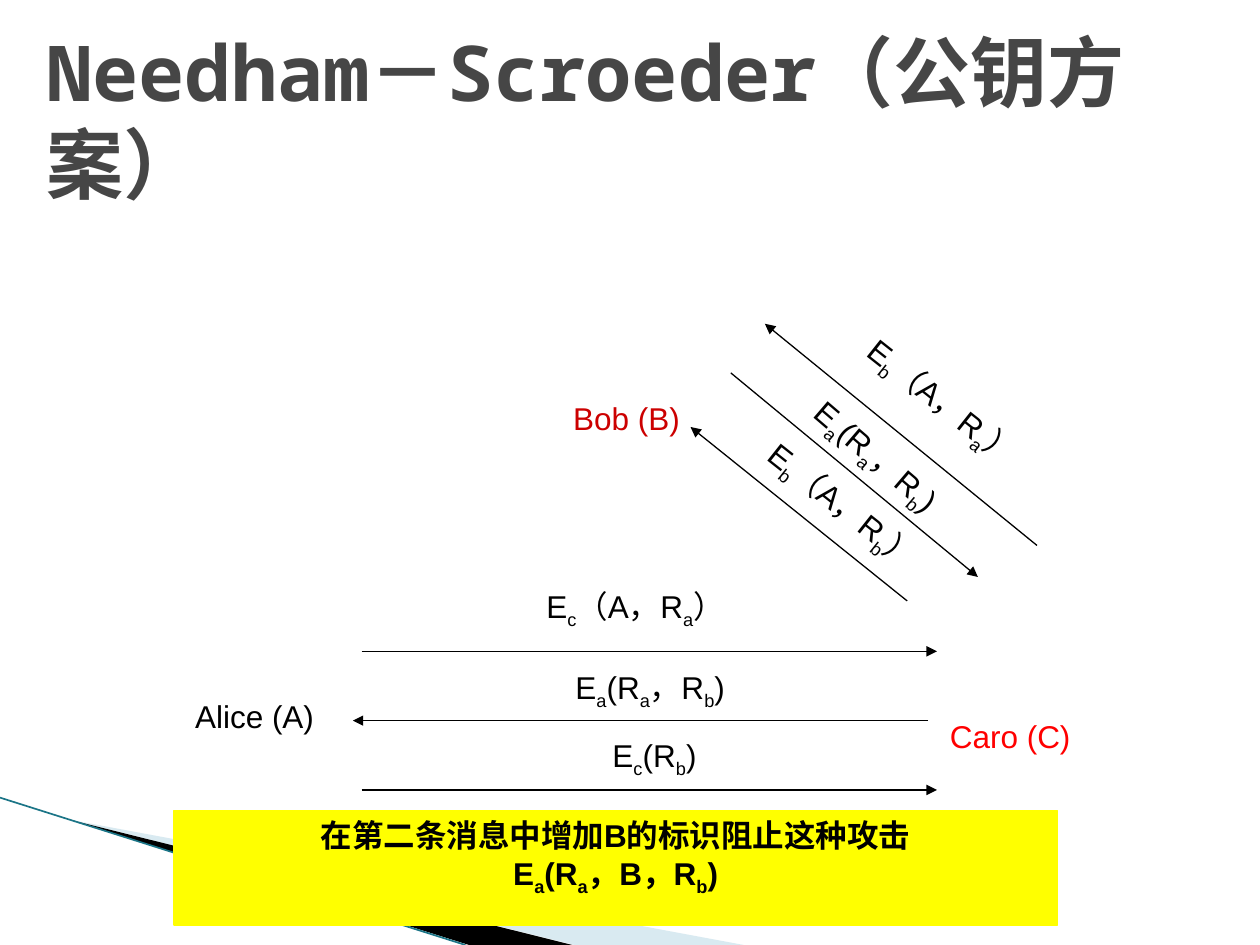
from lxml.etree import SubElement
from pptx import Presentation
from pptx.dml.color import RGBColor
from pptx.enum.shapes import MSO_CONNECTOR, MSO_SHAPE
from pptx.enum.text import MSO_ANCHOR, PP_ALIGN
from pptx.oxml.ns import qn
from pptx.util import Pt


def color(value):
    """Turn a hex string into a colour."""
    return RGBColor.from_string(value)


def style(para, size, fill, font, bold=False, align=PP_ALIGN.LEFT):
    """Set the font and alignment of a whole paragraph."""
    para.alignment = align
    para.font.size = Pt(size)
    para.font.bold = bold
    para.font.color.rgb = color(fill)
    para.font.name = font
    defaults = para._p.pPr.find(qn("a:defRPr"))
    SubElement(defaults, qn("a:ea"), typeface="Noto Sans CJK SC")


def write_formula(para, formula):
    """Write text in which every second part between bars is a subscript."""
    for index, part in enumerate(formula.split("|")):
        span = para.add_run()
        span.text = part
        if index % 2:
            span.font._element.set("baseline", "-25000")


def add_label(page, box, text, fill="000000", size=18, font="Arial",
              bold=False, align=PP_ALIGN.LEFT, anchor=MSO_ANCHOR.TOP, turn=0):
    """Place one paragraph of text in a box."""
    label = page.shapes.add_textbox(*map(Pt, box))
    label.rotation = turn
    frame = label.text_frame
    frame.word_wrap = True
    frame.vertical_anchor = anchor
    write_formula(frame.paragraphs[0], text)
    style(frame.paragraphs[0], size, fill, font, bold, align)


def add_line(page, start, end, fill="000000", width=0.75, arrow=True):
    """Draw a straight line, with an arrowhead at its end if wanted."""
    line = page.shapes.add_connector(MSO_CONNECTOR.STRAIGHT, *map(Pt, start + end))
    line.line.color.rgb = color(fill)
    line.line.width = Pt(width)
    if arrow:
        SubElement(line.line._get_or_add_ln(), qn("a:tailEnd"), type="triangle")
    SubElement(line._element.spPr, qn("a:effectLst"))


def add_wedge(page, points, fill, alpha=None):
    """Draw a filled outline without a border."""
    builder = page.shapes.build_freeform(*map(Pt, points[0]))
    builder.add_line_segments([(Pt(x), Pt(y)) for x, y in points[1:]])
    wedge = builder.convert_to_shape()
    wedge.shadow.inherit = False
    wedge.fill.solid()
    wedge.fill.fore_color.rgb = color(fill)
    wedge.line.fill.background()
    if alpha:
        tint = wedge._element.spPr.find(qn("a:solidFill"))[0]
        SubElement(tint, qn("a:alpha"), val=str(alpha * 1000))


def add_corner(page, left, top):
    """Draw the sweeping corner decoration from its upper left point."""
    tip = (left + 39.6, top + 12.6)
    floor = top + 84.2
    add_wedge(page, [tip, (left + 425, floor), (left + 328.3, floor)], "A0CBDC", 40)
    add_wedge(page, [tip, (left + 327, floor), (left + 268, floor)], "000000")
    add_line(page, (left, top), (left + 266, floor), "1B7587", 0.95, arrow=False)


def add_caro_exchange(page, left, top):
    """Draw the three level messages between Alice and Caro."""
    messages = [("E|c|（A，R|a|）", 39.6, 0, 244, True),
                ("E|a|(R|a|，R|b|)", 33.8, 46.1, 272.2, False),
                ("E|c|(R|b|)", 50.4, 85, 244, True)]
    for index, (text, indent, drop, width, to_caro) in enumerate(messages):
        y = top + 40.3 + 39.6 * index
        shift = 5 if to_caro else 0
        near, far = (left + shift, y), (left + shift + 328.8, y)
        add_line(page, *((near, far) if to_caro else (far, near)))
        add_label(page, (left + indent, top + drop, width, 28.8), text,
                  align=PP_ALIGN.CENTER)


def add_bob_exchange(page, left, top):
    """Draw the three slanted messages between Caro and Bob."""
    messages = [("E|b|（A，R|a|）", (198, 126.7), (42.5, 0), (22.3, 30.2), 244, 38.4),
                ("E|a|(R|a|，R|b|)", (23, 28.1), (164.2, 144.7), (5.8, 61.2), 200.9, 40.6),
                ("E|b|（A，R|b|）", (123.8, 158.4), (0, 59), (-34.6, 89.3), 244, 38.4)]
    for text, start, end, corner, width, turn in messages:
        add_line(page, (left + start[0], top + start[1]), (left + end[0], top + end[1]))
        add_label(page, (left + corner[0], top + corner[1], width, 28.8), text,
                  align=PP_ALIGN.CENTER, turn=turn)


def add_remedy(page, box):
    """Place the yellow panel that names the remedy."""
    panel = page.shapes.add_shape(MSO_SHAPE.RECTANGLE, *map(Pt, box))
    panel.shadow.inherit = False
    panel.fill.solid()
    panel.fill.fore_color.rgb = color("FFFF00")
    panel.line.color.rgb = color("FFFF00")
    panel.line.width = Pt(0.75)
    frame = panel.text_frame
    frame.word_wrap = True
    frame.vertical_anchor = MSO_ANCHOR.TOP
    lines = ["在第二条消息中增加B的标识阻止这种攻击", "E|a|(R|a|，B，R|b|)"]
    for index, line in enumerate(lines):
        para = frame.add_paragraph() if index else frame.paragraphs[0]
        write_formula(para, line)
        style(para, 18, "000000", "Arial", True, PP_ALIGN.CENTER)


def main():
    """Build the protocol slide."""
    deck = Presentation()
    deck.slide_width, deck.slide_height = Pt(720), Pt(540)
    page = deck.slides.add_slide(deck.slide_layouts[6])
    add_corner(page, 0, 455.8)
    add_label(page, (19.4, 21.6, 700.6, 90), "Needham－Scroeder（公钥方案）", "464646",
              44, "Noto Sans Mono", True, anchor=MSO_ANCHOR.MIDDLE)
    add_label(page, (104.4, 394.6, 90.7, 28.8), "Alice (A)")
    add_label(page, (535.7, 406.1, 108, 28.8), "Caro (C)", "FF0000")
    add_label(page, (320.4, 224.6, 90.7, 28.8), "Bob (B)", "CC0000")
    add_caro_exchange(page, 201.6, 331.9)
    add_bob_exchange(page, 394.6, 185)
    add_remedy(page, (99.4, 463, 504.7, 65.5))
    deck.save("out.pptx")


if __name__ == "__main__":
    main()
